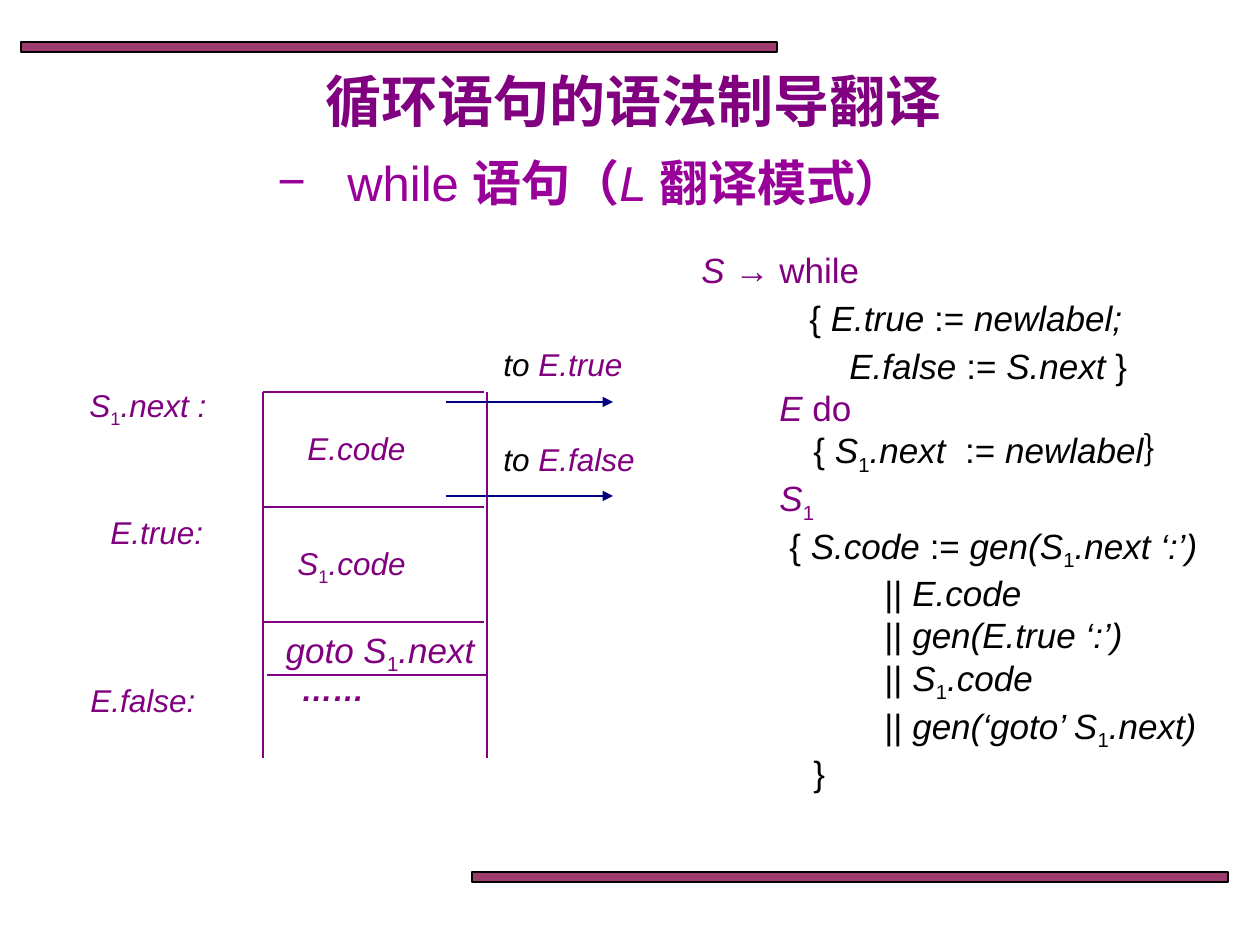
from lxml import etree
from pptx import Presentation
from pptx.dml.color import RGBColor
from pptx.enum.shapes import MSO_CONNECTOR, MSO_SHAPE
from pptx.enum.text import MSO_ANCHOR, PP_ALIGN
from pptx.oxml.ns import qn
from pptx.util import Emu, Pt

PX = 914400 // 126
PURPLE = RGBColor(0x80, 0x00, 0x80)
VIOLET = RGBColor(0x99, 0x00, 0x99)
PLUM = RGBColor(0x99, 0x33, 0x66)
NAVY = RGBColor(0x00, 0x00, 0x80)
BLACK = RGBColor(0x00, 0x00, 0x00)
LATIN, CHINESE = "Arial", "Noto Sans CJK SC"

# A run is (text, style): i italic, b bold, s subscript,
# k black, v violet, c Chinese font; purple is the default colour.
TITLE = [("循环语句的语法制导翻译", "bc")]
SUBTITLE = [("while ", "v"), ("语句（", "vbc"), ("L ", "vi"), ("翻译模式）", "vbc")]

BARS = [(21, 42), (472, 872)]
BAR_SIZE = (756, 10)

# box left, top, width, height; runs
LABELS = [
    (295, 423, 156, 63, [("E.code", "i")]),
    (285, 538, 171, 63, [("S", "i"), ("1", "s"), (".code", "i")]),
    (77, 380, 185, 64, [("S", "i"), ("1", "s"), (".next :", "i")]),
    (98, 507, 149, 63, [("E.true:", "i")]),
    (78, 675, 165, 63, [("E.false:", "i")]),
    (491, 339, 184, 63, [("to ", "ik"), ("E.true", "i")]),
    (491, 434, 200, 63, [("to ", "ik"), ("E.false", "i")]),
    (289, 664, 110, 63, [("……", "bi")]),
]
GOTO = [("goto S", "i"), ("1", "s"), (".next", "i")]

LEFT, RIGHT, TOP, BOTTOM = 263, 487, 392, 758
FRAME_LINES = [(x, TOP, x, BOTTOM) for x in (LEFT, RIGHT)]
FRAME_LINES += [(LEFT, y, 484, y) for y in (TOP, 507, 622)]
FRAME_LINES += [(267, 675, RIGHT, 675)]
JUMP_ARROWS = [(446, y, 613, y) for y in (402, 496)]

# indent, space before, runs
SCHEME = [
    (0, 0, [("S ", "i"), ("→ while", "")]),
    (108, 6, [("{ ", "k"), ("E.true ", "ik"), (":= ", "k"), ("newlabel;", "ik")]),
    (148, 6, [("E.false ", "ik"), (":= ", "k"), ("S.next", "ik"), (" }", "k")]),
    (78, 0, [("E", "i"), (" do", "")]),
    (112, 0, [("{ ", "k"), ("S", "ik"), ("1", "sk"), (".next  ", "ik"),
              (":= ", "k"), ("newlabel", "ik"), ("｝", "k")]),
    (78, 0, [("S", "i"), ("1", "s")]),
    (88, 0, [("{ ", "k"), ("S.code ", "ik"), (":=", "k"), (" gen(S", "ik"),
             ("1", "sk"), (".next ‘:’)", "ik")]),
    (183, 0, [("|| ", "k"), ("E.code", "ik")]),
    (183, 0, [("||", "k"), (" gen(E.true ‘:’)", "ik")]),
    (183, 0, [("|| ", "k"), ("S", "ik"), ("1", "sk"), (".code", "ik")]),
    (183, 0, [("||", "k"), (" gen(‘goto’ S", "ik"), ("1", "sk"), (".next)", "ik")]),
    (112, 0, [("}", "k")]),
]
LINE_HEIGHT, SUBSCRIPT_LINE_HEIGHT = 42, 48


def px(*values):
    return [Emu(value * PX) for value in values]


def fill_paragraph(paragraph, runs, size, align=PP_ALIGN.LEFT):
    paragraph.alignment = align
    for text, style in runs:
        run = paragraph.add_run()
        run.text = text
        font = run.font
        font.size = Pt(size)
        font.bold, font.italic = "b" in style, "i" in style
        font.color.rgb = BLACK if "k" in style else VIOLET if "v" in style else PURPLE
        font.name = CHINESE if "c" in style else LATIN
        properties = run._r.get_or_add_rPr()
        if "c" in style:
            etree.SubElement(properties, qn("a:ea"), typeface=CHINESE)
        if "s" in style:
            properties.set("baseline", "-25000")


def set_indent(paragraph, margin, first_line=0):
    properties = paragraph._p.get_or_add_pPr()
    properties.set("marL", str(margin * PX))
    properties.set("indent", str(first_line * PX))
    return properties


def add_text_frame(slide, box):
    frame = slide.shapes.add_textbox(*px(*box)).text_frame
    frame.word_wrap = True
    return frame


def add_bar(slide, left, top):
    bar = slide.shapes.add_shape(MSO_SHAPE.RECTANGLE, *px(left, top, *BAR_SIZE))
    bar.shadow.inherit = False
    bar.fill.solid()
    bar.fill.fore_color.rgb = PLUM
    color = bar._element.spPr.find(qn("a:solidFill"))[0]
    etree.SubElement(color, qn("a:alpha"), val="96000")
    bar.line.color.rgb = BLACK
    bar.line.width = Pt(0.75)


def add_line(slide, ends, color, arrow=False):
    line = slide.shapes.add_connector(MSO_CONNECTOR.STRAIGHT, *px(*ends))
    line.line.color.rgb = color
    line.line.width = Pt(0.75)
    if arrow:
        etree.SubElement(line.line._get_or_add_ln(), qn("a:tailEnd"), type="triangle")
    etree.SubElement(line._element.spPr, qn("a:effectLst"))


def add_title(slide):
    title = slide.shapes.title
    title.left, title.top, title.width, title.height = px(62, 60, 1144, 79)
    title.text_frame.vertical_anchor = MSO_ANCHOR.TOP
    title.text_frame.word_wrap = True
    fill_paragraph(title.text_frame.paragraphs[0], TITLE, 32, PP_ALIGN.CENTER)


def add_subtitle(slide):
    paragraph = add_text_frame(slide, (265, 146, 800, 72)).paragraphs[0]
    fill_paragraph(paragraph, SUBTITLE, 28)
    properties = set_indent(paragraph, 70, -70)
    etree.SubElement(properties, qn("a:buFont"), typeface=LATIN)
    etree.SubElement(properties, qn("a:buChar"), char="−")


def add_scheme(slide):
    frame = add_text_frame(slide, (689, 242, 552, 522))
    for index, (indent, space, runs) in enumerate(SCHEME):
        paragraph = frame.add_paragraph() if index else frame.paragraphs[0]
        fill_paragraph(paragraph, runs, 20)
        set_indent(paragraph, indent)
        subscript = any("s" in style for _, style in runs)
        height = SUBSCRIPT_LINE_HEIGHT if subscript else LINE_HEIGHT
        paragraph.line_spacing, paragraph.space_before = px(height, space)


def main():
    presentation = Presentation()
    presentation.slide_width, presentation.slide_height = px(1260, 945)
    slide = presentation.slides.add_slide(presentation.slide_layouts[5])
    for bar in BARS:
        add_bar(slide, *bar)
    add_title(slide)
    add_subtitle(slide)
    for ends in FRAME_LINES:
        add_line(slide, ends, PURPLE)
    for ends in JUMP_ARROWS:
        add_line(slide, ends, NAVY, arrow=True)
    for *box, runs in LABELS:
        fill_paragraph(add_text_frame(slide, box).paragraphs[0], runs, 18)
    goto_frame = add_text_frame(slide, (257, 622, 246, 54))
    fill_paragraph(goto_frame.paragraphs[0], GOTO, 20, PP_ALIGN.CENTER)
    add_scheme(slide)
    presentation.save("out.pptx")


if __name__ == "__main__":
    main()
